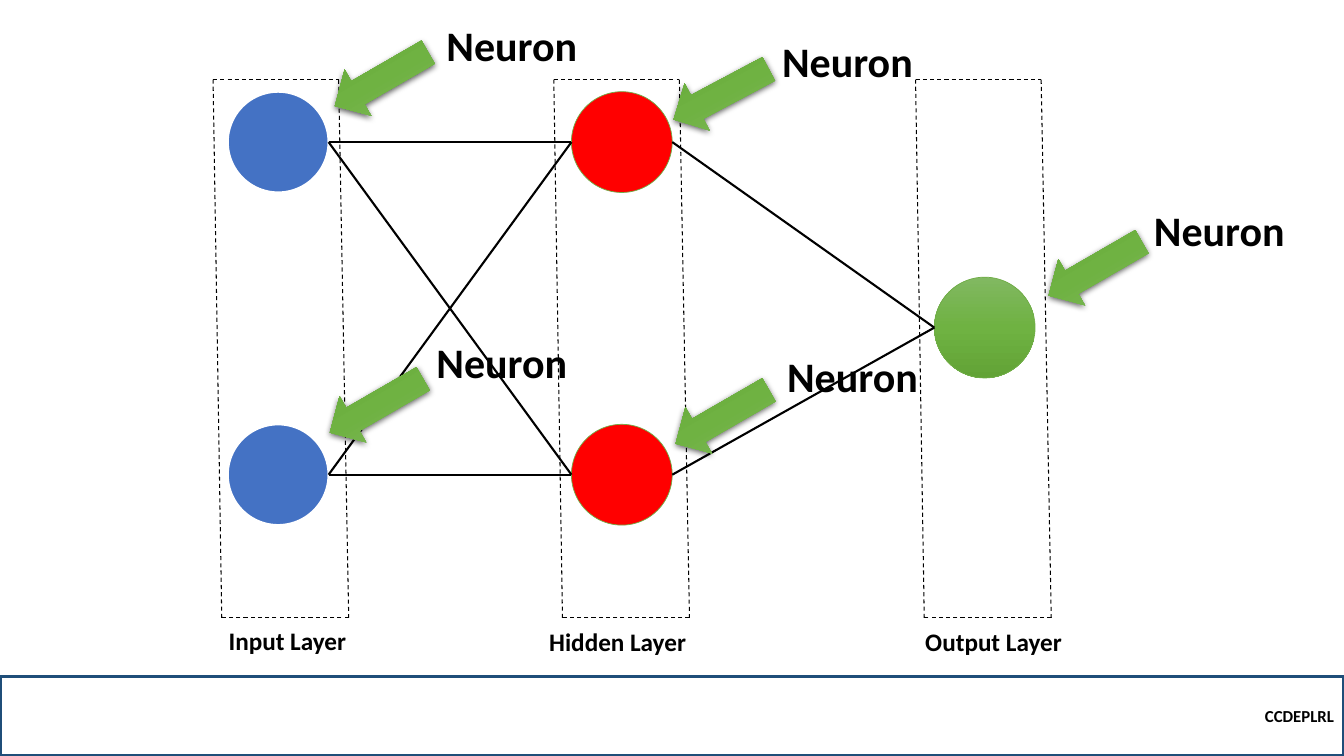
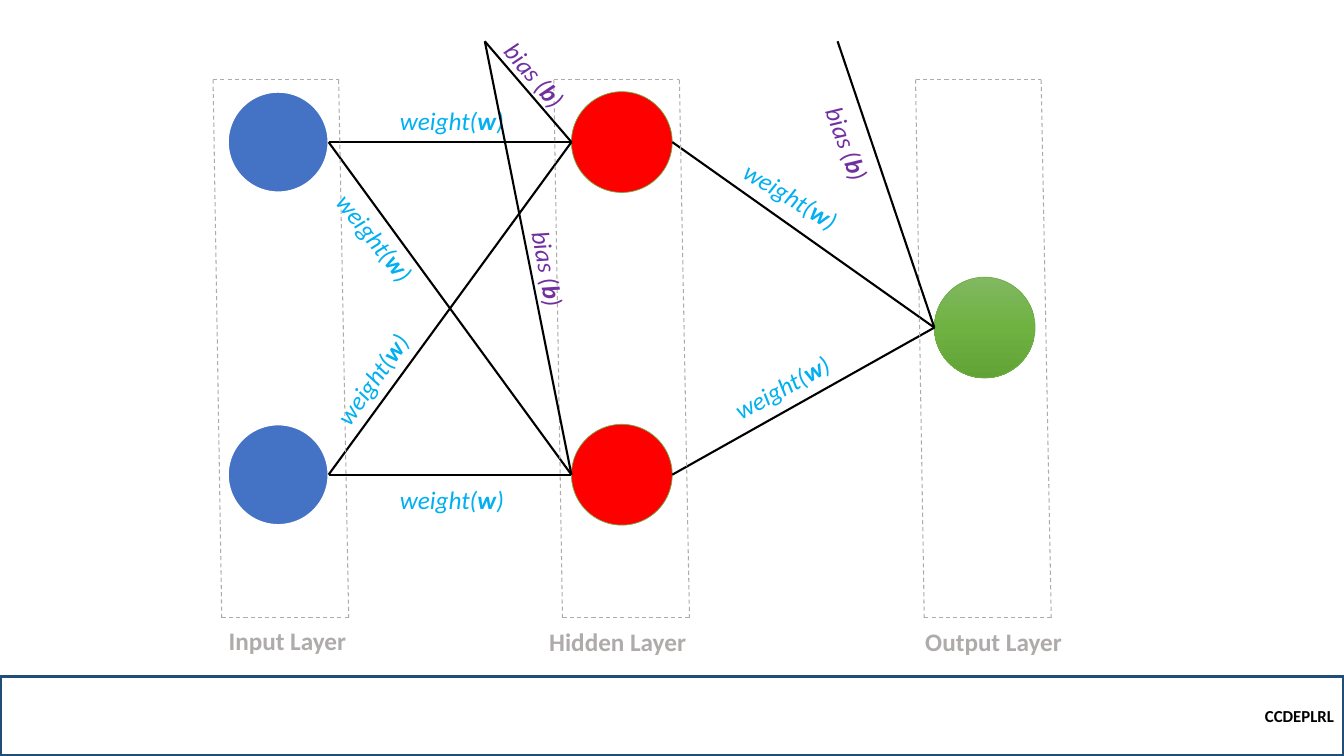
from copy import deepcopy
from itertools import pairwise, product
from typing import NamedTuple

from lxml.etree import SubElement
from pptx import Presentation
from pptx.dml.color import RGBColor
from pptx.enum.dml import MSO_LINE
from pptx.enum.shapes import MSO_CONNECTOR, MSO_SHAPE
from pptx.enum.text import MSO_ANCHOR, MSO_AUTO_SIZE, PP_ALIGN
from pptx.oxml.ns import qn
from pptx.util import Pt

FONT = "Calibri"
BLACK, WHITE, GREY = "000000", "FFFFFF", "AFABAB"
NAVY, BLUE, RED, GREEN = "1F4E79", "4472C4", "FF0000", "70AD47"
WEIGHT_COLOR, BIAS_COLOR = "00B0F0", "7030A0"
GREEN_STOPS = ((0, "81B861"), (0.5, "6FB242"), (1, "62A336"))
SLIDE_W, SLIDE_H, BAND_H = 960, 540, 57
NODE = 72
FRAME_TOP, FRAME_BOTTOM = 56.9, 441.4


class Point(NamedTuple):
    x: float
    y: float


class Neuron(NamedTuple):
    x: float
    y: float
    fill: str | None  # None means the green gradient
    line: str
    line_width: float

    @property
    def left(self) -> Point:
        return Point(self.x, self.y + NODE / 2)

    @property
    def right(self) -> Point:
        return Point(self.x + NODE, self.y + NODE / 2)


class Layer(NamedTuple):
    name: str
    frame_x: float
    label_x: float
    label_y: float
    label_w: float


class Callout(NamedTuple):
    arrow: Point
    label: Point
    rotation: float = 150


class Tag(NamedTuple):
    x: float
    y: float
    rotation: float


INPUTS = [Neuron(162.7, y, BLUE, WHITE, 1.5) for y in (65.5, 303.1)]
HIDDEN = [Neuron(408.2, y, RED, GREEN, 0.5) for y in (65.5, 303.1)]
OUTPUT = Neuron(667.4, 198, None, GREEN, 0.5)

LAYERS = [
    Layer("Input Layer", 158.4, 156.2, 442.8, 99.4),
    Layer("Hidden Layer", 401.8, 385.2, 443.5, 116.6),
    Layer("Output Layer", 660.2, 653.8, 443.5, 116.6),
]
CALLOUTS = [
    Callout(Point(234, 37.4), Point(311.8, 10.1)),
    Callout(Point(230.4, 270.7), Point(304.6, 236.9)),
    Callout(Point(476.6, 48.2), Point(551.5, 21.6), 152),
    Callout(Point(477.4, 278.6), Point(555.1, 247)),
    Callout(Point(743.8, 172.8), Point(817.2, 142.6)),
]
WEIGHTS = [
    Tag(278.6, 72, 0),
    Tag(223.2, 156.2, 51.1),
    Tag(278.6, 342.7, 0),
    Tag(221, 255.6, 305.5),
    Tag(520.6, 126, 31.5),
    Tag(514.1, 261.4, 331.1),
]
BIASES = [
    Tag(347.8, 39.6, 49.2),
    Tag(357.1, 177.8, 79.4),
    Tag(571, 88.6, 69.4),
]
HIDDEN_BIAS, OUTPUT_BIAS = Point(346.3, 29.5), Point(598.3, 29.5)


def rgb(color: str) -> RGBColor:
    return RGBColor.from_string(color)


def format_run(r, size: float, color: str, bold=False, italic=False) -> None:
    r.font.name, r.font.size = FONT, Pt(size)
    r.font.bold, r.font.italic = bold, italic
    r.font.color.rgb = rgb(color)


def add_shape(slide, kind, x: float, y: float, w: float, h: float):
    sp = slide.shapes.add_shape(kind, Pt(x), Pt(y), Pt(w), Pt(h))
    sp.shadow.inherit = False
    return sp


def fill_green(sp) -> None:
    """Fill with the three-stop green gradient, light at the top."""
    sp.fill.gradient()
    sp.fill.gradient_angle = 270
    stop_list = sp._element.spPr.find(".//" + qn("a:gsLst"))
    stop_list.append(deepcopy(stop_list[-1]))
    for stop, (position, color) in zip(sp.fill.gradient_stops, GREEN_STOPS):
        stop.position = position
        stop.color.rgb = rgb(color)


def add_soft_shadow(sp) -> None:
    effects = sp._element.spPr.find(qn("a:effectLst"))
    shadow = SubElement(effects, qn("a:outerShdw"), blurRad=str(Pt(4.5)),
                        dist=str(Pt(1.5)), dir="5400000", algn="ctr", rotWithShape="0")
    color = SubElement(shadow, qn("a:srgbClr"), val=BLACK)
    SubElement(color, qn("a:alpha"), val="63000")


def add_line(slide, start: Point, end: Point, color=BLACK, width=1.5, dashed=False) -> None:
    line = slide.shapes.add_connector(MSO_CONNECTOR.STRAIGHT, *map(Pt, (*start, *end)))
    line.line.color.rgb = rgb(color)
    line.line.width = Pt(width)
    if dashed:
        line.line.dash_style = MSO_LINE.DASH
    SubElement(line._element.spPr, qn("a:effectLst"))


def add_text_box(slide, x: float, y: float, w: float, h: float, wrap=True):
    box = slide.shapes.add_textbox(Pt(x), Pt(y), Pt(w), Pt(h))
    box.text_frame.word_wrap = wrap
    box.text_frame.auto_size = MSO_AUTO_SIZE.SHAPE_TO_FIT_TEXT
    return box


def add_label(slide, text: str, x: float, y: float, w: float, h: float,
              size: float, color: str) -> None:
    p = add_text_box(slide, x, y, w, h).text_frame.paragraphs[0]
    p.text = text
    format_run(p.runs[0], size, color, bold=True)


def add_tag(slide, tag: Tag, lead: str, symbol: str, w: float, color: str) -> None:
    """Add a turned italic label whose symbol in brackets is bold."""
    box = add_text_box(slide, tag.x, tag.y, w, 28.8, wrap=False)
    box.rotation = tag.rotation
    p = box.text_frame.paragraphs[0]
    for text in (lead + "(", symbol, ")"):
        r = p.add_run()
        r.text = text
        format_run(r, 18, color, bold=text == symbol, italic=True)


def add_band(slide) -> None:
    sp = add_shape(slide, MSO_SHAPE.RECTANGLE, 0, SLIDE_H - BAND_H, SLIDE_W, BAND_H)
    sp.fill.background()
    sp.line.color.rgb = rgb(NAVY)
    sp.line.width = Pt(2.25)
    tf = sp.text_frame
    tf.vertical_anchor = MSO_ANCHOR.MIDDLE
    p = tf.paragraphs[0]
    p.text = "CCDEPLRL"
    p.alignment = PP_ALIGN.RIGHT
    format_run(p.runs[0], 12, BLACK, bold=True)


def add_neuron(slide, neuron: Neuron) -> None:
    sp = add_shape(slide, MSO_SHAPE.OVAL, neuron.x, neuron.y, NODE, NODE)
    if neuron.fill:
        sp.fill.solid()
        sp.fill.fore_color.rgb = rgb(neuron.fill)
    else:
        fill_green(sp)
    sp.line.color.rgb = rgb(neuron.line)
    sp.line.width = Pt(neuron.line_width)


def add_layer(slide, layer: Layer, color: str) -> None:
    """Add the slightly slanted dashed frame of a layer and its name."""
    x = layer.frame_x
    corners = [Point(x, FRAME_BOTTOM), Point(x - 6.2, FRAME_TOP),
               Point(x + 83.5, FRAME_TOP), Point(x + 90.7, FRAME_BOTTOM)]
    for start, end in pairwise([*corners, corners[0]]):
        add_line(slide, start, end, color, 0.75, dashed=True)
    add_label(slide, layer.name, layer.label_x, layer.label_y, layer.label_w, 28.8, 18, color)


def add_callout(slide, callout: Callout) -> None:
    sp = add_shape(slide, MSO_SHAPE.RIGHT_ARROW, *callout.arrow, 77, 38.2)
    sp.rotation = callout.rotation
    fill_green(sp)
    sp.line.fill.background()
    add_soft_shadow(sp)
    add_label(slide, "Neuron", *callout.label, 126, 43.9, 30, BLACK)


def add_network_slide(prs, layer_color: str):
    """Add a slide with the band, the neurons, their links and the layers."""
    slide = prs.slides.add_slide(prs.slide_layouts[6])
    add_band(slide)
    for neuron in (*INPUTS, *HIDDEN, OUTPUT):
        add_neuron(slide, neuron)
    for source, target in (*product(INPUTS, HIDDEN), *product(HIDDEN, [OUTPUT])):
        add_line(slide, source.right, target.left)
    for layer in LAYERS:
        add_layer(slide, layer, layer_color)
    return slide


def build_neurons_slide(prs) -> None:
    slide = add_network_slide(prs, BLACK)
    for callout in CALLOUTS:
        add_callout(slide, callout)


def build_weights_slide(prs) -> None:
    slide = add_network_slide(prs, GREY)
    for tag in WEIGHTS:
        add_tag(slide, tag, "weight", "w", 90.7, WEIGHT_COLOR)
    for neuron in HIDDEN:
        add_line(slide, HIDDEN_BIAS, neuron.left)
    add_line(slide, OUTPUT_BIAS, OUTPUT.left)
    for tag in BIASES:
        add_tag(slide, tag, "bias ", "b", 69.1, BIAS_COLOR)


def main() -> None:
    prs = Presentation()
    prs.slide_width, prs.slide_height = Pt(SLIDE_W), Pt(SLIDE_H)
    build_neurons_slide(prs)
    build_weights_slide(prs)
    prs.save("out.pptx")


if __name__ == "__main__":
    main()
